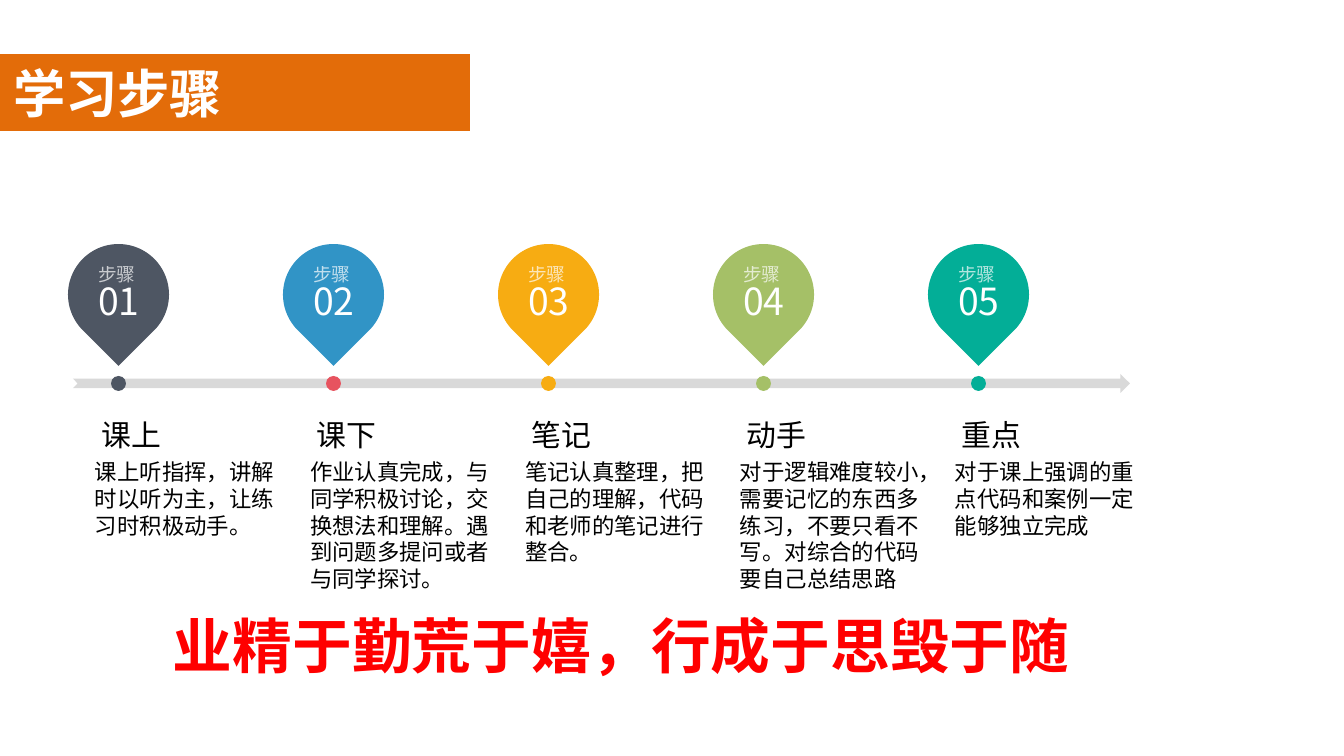
"""Build the learning-steps timeline slide."""
import dataclasses
import typing

import lxml.etree
import pptx
import pptx.dml.color
import pptx.enum.shapes
import pptx.enum.text
import pptx.oxml.ns
import pptx.util

EMU_PER_PX = 914400 / 134.4
PITCH = 215
FONT = "Noto Sans CJK SC"
COLOURS = {
    "banner": "E36C09", "track": "D9D9D9", "white": "FFFFFF", "black": "000000",
    "slogan": "FF0000", "slate": "4E5663", "blue": "3194C6", "red": "E7535F",
    "amber": "F7AC12", "green": "A5C067", "teal": "03AE97",
}
SHAPE = pptx.enum.shapes.MSO_SHAPE
ALIGN = pptx.enum.text.PP_ALIGN
ANCHOR = pptx.enum.text.MSO_ANCHOR
AUTO = pptx.enum.text.MSO_AUTO_SIZE


class Area(typing.NamedTuple):
    left: int
    top: int
    width: int
    height: int

    def shifted(self, distance: int) -> "Area":
        return self._replace(left=self.left + distance)


@dataclasses.dataclass
class Line:
    text: str
    size: int
    colour: str = "black"
    font: str = FONT
    bold: bool = False
    align: typing.Any = ALIGN.LEFT
    spacing: typing.Optional[int] = None
    opacity: int = 100
    outline: typing.Optional[str] = None


@dataclasses.dataclass
class Step:
    heading: str
    detail: str
    pin: str
    dot: str


STEPS = [
    Step("课上", "课上听指挥，讲解时以听为主，让练习时积极动手。", "slate", "slate"),
    Step("课下", "作业认真完成，与同学积极讨论，交换想法和理解。遇到问题多提问或者与同学探讨。", "blue", "red"),
    Step("笔记", "笔记认真整理，把自己的理解，代码和老师的笔记进行整合。", "amber", "amber"),
    Step("动手", "对于逻辑难度较小，需要记忆的东西多练习，不要只看不写。对综合的代码要自己总结思路", "green", "green"),
    Step("重点", "对于课上强调的重点代码和案例一定能够独立完成", "teal", "teal"),
]
BANNER = Area(0, 54, 470, 77)
TRACK = Area(73, 374, 1057, 19)
PIN = Area(68, 244, 101, 101)
LABEL = Area(78, 267, 82, 56)
DOT = Area(111, 376, 15, 15)
HEADING = Area(95, 410, 169, 50)
DETAIL = Area(95, 458, 186, 136)
SLOGAN = Area(160, 602, 1175, 126)


def px(length: int) -> int:
    return round(length * EMU_PER_PX)


def rgb(name: str) -> pptx.dml.color.RGBColor:
    return pptx.dml.color.RGBColor.from_string(COLOURS[name])


def assign(target: typing.Any, values: dict) -> None:
    for name, value in values.items():
        setattr(target, name, value)


def add_shape(shapes: typing.Any, kind: typing.Any, area: Area, colour: str, rotation: int = 0) -> None:
    shape = shapes.add_shape(kind, *map(px, area))
    shape.shadow.inherit = False
    shape.fill.solid()
    shape.fill.fore_color.rgb = rgb(colour)
    shape.line.fill.background()
    shape.rotation = rotation


def add_xml(parent: typing.Any, tag: str, **attributes: str) -> typing.Any:
    return lxml.etree.SubElement(parent, pptx.oxml.ns.qn(tag), **attributes)


def write_line(para: typing.Any, line: Line) -> None:
    assign(para, {"alignment": line.align})
    if line.spacing:
        para.line_spacing = pptx.util.Pt(line.spacing)
    span = para.add_run()
    span.text = line.text
    assign(span.font, {"size": pptx.util.Pt(line.size), "bold": line.bold, "name": line.font})
    span.font.color.rgb = rgb(line.colour)
    properties = span.font._element
    add_xml(properties, "a:ea", typeface=line.font)
    if line.opacity < 100:
        colour = properties.find(".//" + pptx.oxml.ns.qn("a:srgbClr"))
        add_xml(colour, "a:alpha", val=str(line.opacity * 1000))
    if line.outline:
        border = add_xml(properties, "a:ln", w=str(pptx.util.Pt(0.75)))
        add_xml(add_xml(border, "a:solidFill"), "a:srgbClr", val=COLOURS[line.outline])
        properties.insert(0, border)


def fill_text(box: typing.Any, lines: list[Line], inset: tuple[int, int] = (0, 0),
              anchor: typing.Any = ANCHOR.TOP, auto_size: typing.Any = AUTO.SHAPE_TO_FIT_TEXT) -> None:
    side, end = map(px, inset)
    frame = box.text_frame
    assign(frame, {
        "word_wrap": True, "auto_size": auto_size, "vertical_anchor": anchor,
        "margin_left": side, "margin_right": side, "margin_top": end, "margin_bottom": end,
    })
    for index, line in enumerate(lines):
        write_line(frame.add_paragraph() if index else frame.paragraphs[0], line)


def add_step(page: typing.Any, index: int, step: Step) -> None:
    group = page.shapes.add_group_shape().shapes
    shift = index * PITCH
    add_shape(group, SHAPE.TEAR, PIN.shifted(shift), step.pin, 135)
    label = group.add_textbox(*map(px, LABEL.shifted(shift)))
    fill_text(label, [
        Line("步骤 ", 10, "white", align=ALIGN.CENTER, spacing=10, opacity=70),
        Line(f"{index + 1:02}", 20, "white", align=ALIGN.CENTER, spacing=20),
    ], anchor=ANCHOR.MIDDLE)
    add_shape(group, SHAPE.OVAL, DOT.shifted(shift), step.dot)
    heading = group.add_textbox(*map(px, HEADING.shifted(shift)))
    fill_text(heading, [Line(step.heading, 16)], (7, 7))
    detail = group.add_textbox(*map(px, DETAIL.shifted(shift)))
    fill_text(detail, [Line(step.detail, 12)], auto_size=AUTO.NONE)


def main() -> None:
    deck = pptx.Presentation()
    assign(deck, {"slide_width": px(1344), "slide_height": px(756)})
    page = deck.slides.add_slide(deck.slide_layouts[5])
    add_shape(page.shapes, SHAPE.RECTANGLE, BANNER, "banner")
    title = page.shapes.title
    assign(title, dict(zip(Area._fields, map(px, BANNER))))
    page.shapes._spTree.append(title._element)
    fill_text(title, [Line("学习步骤", 28, "white", "Calibri", bold=True)], (13, 7))
    add_shape(page.shapes, SHAPE.NOTCHED_RIGHT_ARROW, TRACK, "track")
    for index, step in enumerate(STEPS):
        add_step(page, index, step)
    slogan = page.shapes.add_textbox(*map(px, SLOGAN))
    fill_text(slogan, [Line("业精于勤荒于嬉，行成于思毁于随", 32, "slogan", "Noto Sans CJK JP",
                            bold=True, outline="white")], (13, 7))
    deck.save("out.pptx")


if __name__ == "__main__":
    main()
